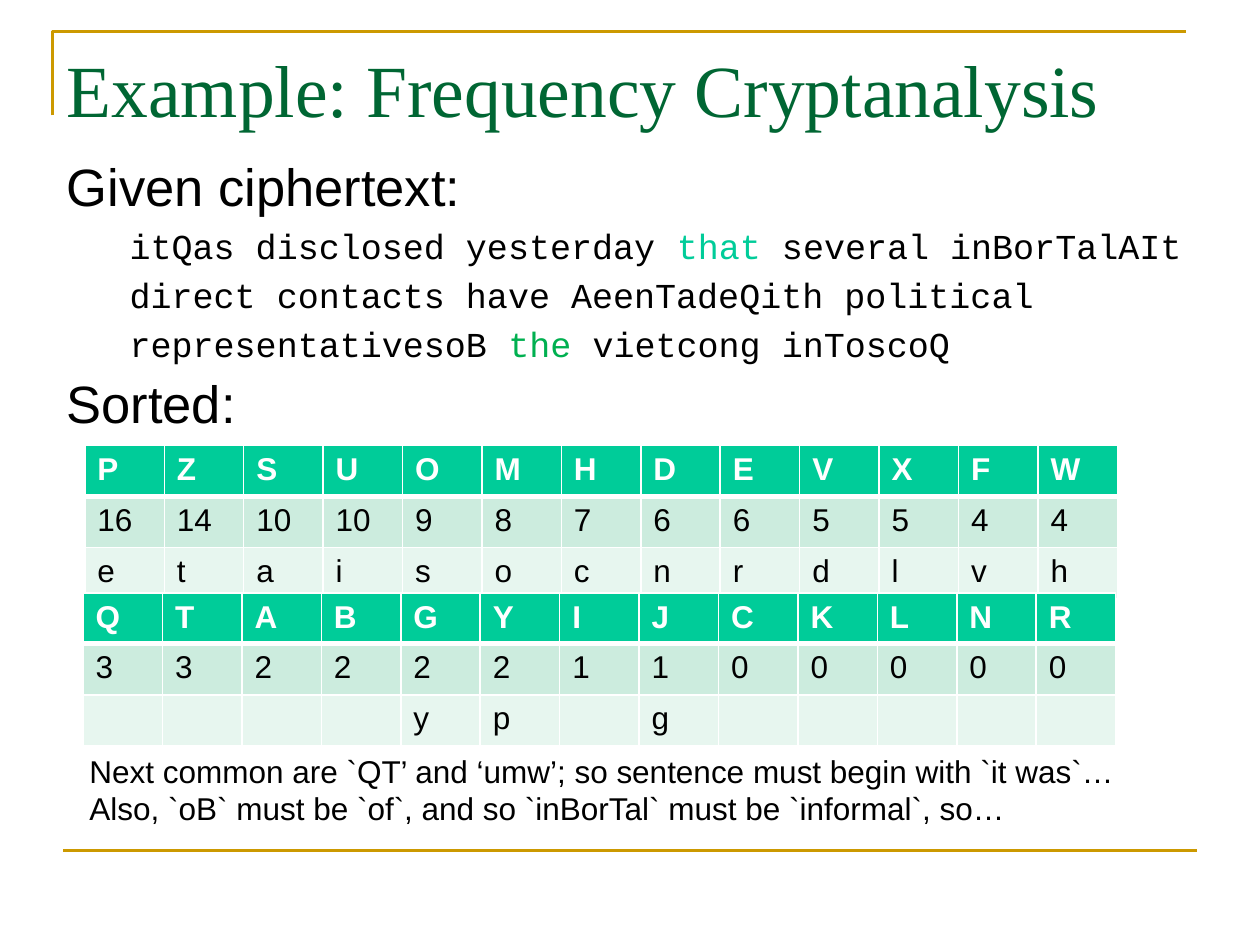
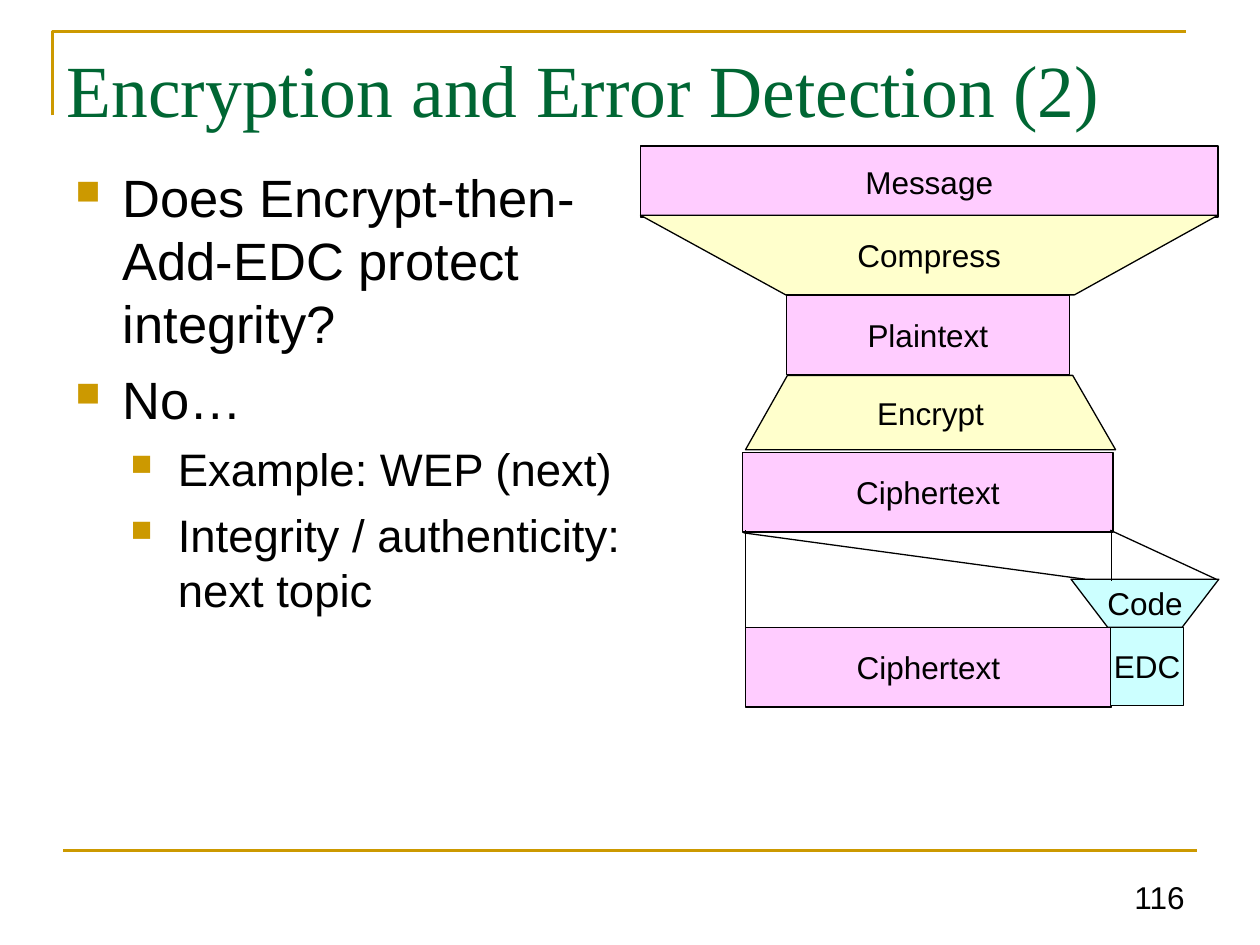
from lxml import etree
from pptx import Presentation
from pptx.dml.color import RGBColor
from pptx.enum import shapes as sh, text as tx
from pptx.oxml.ns import qn
from pptx.util import Pt

GOLD, GREEN, BLACK, WHITE = "CC9900", "006633", "000000", "FFFFFF"
TEAL, LEAF, MINT, PALE_MINT = "00CC99", "00B050", "CCECDE", "E7F6EF"
PINK, YELLOW, CYAN = "FFCCFF", "FFFFCC", "CCFFFF"


def rgb(value):
    """Turn a hex string into a colour."""
    return RGBColor.from_string(value)


def set_font(font, size, color=BLACK, name="Arial", bold=False):
    """Format one font."""
    font.size, font.name, font.bold = Pt(size), name, bold
    font.color.rgb = rgb(color)


def add_xml(parent, tag, **attributes):
    """Append a DrawingML element to its parent."""
    child = etree.SubElement(parent, qn(tag))
    for key, value in attributes.items():
        child.set(key, str(value))
    return child


def add_line(slide, start, end, color=BLACK, width=0.75):
    """Draw a straight line between two points."""
    ends = [Pt(value) for value in (*start, *end)]
    line = slide.shapes.add_connector(sh.MSO_CONNECTOR.STRAIGHT, *ends)
    line.line.color.rgb, line.line.width = rgb(color), Pt(width)
    add_xml(line._element.spPr, "a:effectLst")


def add_outline(slide, points, closed):
    """Draw a polygon or open line through the points."""
    (x, y), *rest = [(Pt(px), Pt(py)) for px, py in points]
    builder = slide.shapes.build_freeform(x, y, scale=1.0)
    builder.add_line_segments(rest, close=closed)
    return builder.convert_to_shape()


def style_shape(shape, fill, color, width):
    """Give a shape its fill and line, without a shadow."""
    shape.shadow.inherit = False
    if fill:
        shape.fill.solid()
        shape.fill.fore_color.rgb = rgb(fill)
    else:
        shape.fill.background()
    shape.line.color.rgb, shape.line.width = rgb(color), Pt(width)


def add_text_frame(slide, left, top, width, height, wrap=True):
    """Add a text box and return its frame."""
    frame = slide.shapes.add_textbox(Pt(left), Pt(top), Pt(width), Pt(height)).text_frame
    frame.word_wrap = wrap
    return frame


def next_paragraph(frame, index):
    """Return the first paragraph, or a new one after it."""
    return frame.add_paragraph() if index else frame.paragraphs[0]


def new_slide(deck, title, title_height):
    """Add a slide with the gold frame lines and a title."""
    slide = deck.slides.add_slide(deck.slide_layouts[5])
    corner = add_outline(slide, [(30, 66), (30, 18), (678, 18)], closed=False)
    style_shape(corner, None, GOLD, 1.5)
    add_line(slide, (36, 486), (684, 486), GOLD, 1.5)
    heading = slide.shapes.title
    heading.left, heading.top = Pt(31), Pt(21.6)
    heading.width, heading.height = Pt(653), Pt(title_height)
    frame = heading.text_frame
    frame.text = title
    frame.vertical_anchor = tx.MSO_ANCHOR.TOP
    frame.auto_size = tx.MSO_AUTO_SIZE.NONE
    paragraph = frame.paragraphs[0]
    paragraph.alignment = tx.PP_ALIGN.LEFT
    set_font(paragraph.font, 42, GREEN, "Times New Roman")
    return slide


def add_ciphertext(slide, left, top, width, height):
    """Write the ciphertext with its guessed words coloured."""
    lines = [
        (0, [("Given ciphertext:", BLACK)]),
        (1, [("itQas disclosed yesterday ", BLACK), ("that ", TEAL),
             ("several inBorTalAIt", BLACK)]),
        (1, [("direct contacts have AeenTadeQith political", BLACK)]),
        (1, [("representativesoB ", BLACK), ("the ", LEAF), ("vietcong inToscoQ", BLACK)]),
        (0, [("Sorted:", BLACK)]),
    ]
    styles = [(30, "Arial", 7.5, 0), (20, "Courier New", 6.5, 36)]
    frame = add_text_frame(slide, left, top, width, height)
    for index, (level, pieces) in enumerate(lines):
        size, name, before, indent = styles[level]
        paragraph = next_paragraph(frame, index)
        paragraph.level = level
        paragraph.line_spacing, paragraph.space_before = 0.9, Pt(before)
        paragraph._p.get_or_add_pPr().set("marL", str(Pt(indent)))
        set_font(paragraph.font, size, BLACK, name)
        for words, color in pieces:
            run = paragraph.add_run()
            run.text = words
            set_font(run.font, size, color, name)


def add_borders(cell, top, bottom):
    """Give a cell white borders."""
    properties = cell._tc.get_or_add_tcPr()
    for side, width in (("L", 1), ("R", 1), ("T", top), ("B", bottom)):
        border = add_xml(properties, f"a:ln{side}", w=Pt(width))
        add_xml(add_xml(border, "a:solidFill"), "a:srgbClr", val=WHITE)


def add_frequencies(slide, left, top, width, row_heights, rows):
    """Build a table of cipher letters, counts and guessed letters."""
    count = len(rows[0])
    table = slide.shapes.add_table(len(rows), count, Pt(left), Pt(top), Pt(width),
                                   Pt(sum(row_heights))).table
    for column in table.columns:
        column.width = Pt(width / count)
    styles = [(TEAL, WHITE, 1, 3), (MINT, BLACK, 3, 1), (PALE_MINT, BLACK, 1, 1)]
    for r, (values, height) in enumerate(zip(rows, row_heights)):
        table.rows[r].height = Pt(height)
        fill, color, above, below = styles[r]
        for c, value in enumerate(values):
            cell = table.cell(r, c)
            add_borders(cell, above, below)
            cell.fill.solid()
            cell.fill.fore_color.rgb = rgb(fill)
            cell.text = value.strip()
            set_font(cell.text_frame.paragraphs[0].font, 18, color, bold=r == 0)


def add_conclusion(slide, left, top, width, height):
    """Write the guesses that follow from the tables."""
    frame = add_text_frame(slide, left, top, width, height, wrap=False)
    for index, line in enumerate([
            "Next common are `QT’ and ‘umw’; so sentence must begin with `it was`…",
            "Also, `oB` must be `of`, and so `inBorTal` must be `informal`, so…"]):
        paragraph = next_paragraph(frame, index)
        paragraph.text = line
        set_font(paragraph.font, 18)


def add_bullets(slide, left, top, width, height, items):
    """Write a two-level list with gold square bullets."""
    styles = [(30, 7.5, 27), (26, 6.5, 58.5)]
    frame = add_text_frame(slide, left, top, width, height)
    for index, (level, words) in enumerate(items):
        size, before, indent = styles[level]
        paragraph = next_paragraph(frame, index)
        paragraph.text, paragraph.level = words, level
        paragraph.space_before = Pt(before)
        set_font(paragraph.font, size)
        properties = paragraph._p.get_or_add_pPr()
        properties.set("marL", str(Pt(indent)))
        properties.set("indent", str(-Pt(27)))
        marker = properties.makeelement(qn("a:buClr"))
        add_xml(marker, "a:srgbClr", val=GOLD)
        run_defaults = properties.find(qn("a:defRPr"))
        run_defaults.addprevious(marker)
        for tag, key, value in (("a:buSzPct", "val", "65000"), ("a:buChar", "char", "■")):
            run_defaults.addprevious(properties.makeelement(qn(tag), {key: value}))


def label_stage(shape, label, fill):
    """Style one stage of the diagram and centre its label."""
    style_shape(shape, fill, BLACK, 0.75)
    frame = shape.text_frame
    frame.text, frame.word_wrap = label, False
    frame.vertical_anchor = tx.MSO_ANCHOR.MIDDLE
    paragraph = frame.paragraphs[0]
    paragraph.alignment = tx.PP_ALIGN.CENTER
    set_font(paragraph.font, 18)


def add_pipeline(slide, left, top):
    """Draw the stages from message to ciphertext with EDC."""
    def data(label, x, y, width, height, fill=PINK):
        """Draw a data block."""
        block = slide.shapes.add_shape(sh.MSO_SHAPE.RECTANGLE, Pt(left + x), Pt(top + y),
                                       Pt(width), Pt(height))
        label_stage(block, label, fill)

    def operation(label, y, height, upper, lower, fill=YELLOW):
        """Draw a trapezoid between an upper and a lower edge."""
        corners = [(upper[0], y), (lower[0], y + height), (lower[1], y + height), (upper[1], y)]
        shape = add_outline(slide, [(left + px, top + py) for px, py in corners], closed=True)
        label_stage(shape, label, fill)

    data("Message", 0, 0, 330, 40.5)
    operation("Compress", 39.5, 45.5, (0, 330), (83, 248))
    data("Plaintext", 83.5, 85, 161.5, 45.5)
    operation("Encrypt", 131, 42.5, (84, 247), (60, 271.5))
    data("Ciphertext", 58.5, 175, 211.5, 45.5)
    operation("Code", 247.5, 27.5, (246, 330.5), (267, 309.5), CYAN)
    for x1, y1, x2, y2 in [(59, 221, 254, 247.5), (268.5, 219.5, 329, 247.5),
                           (269, 219.5, 269, 248.5), (60, 219.5, 60, 275)]:
        add_line(slide, (left + x1, top + y1), (left + x2, top + y2))
    data("Ciphertext", 60, 275, 209, 45.5)
    data("EDC", 268.5, 275, 42, 44.5, CYAN)


def add_page_number(slide, number):
    """Write the page number at the bottom right."""
    frame = add_text_frame(slide, 516, 492, 168, 35)
    frame.vertical_anchor = tx.MSO_ANCHOR.BOTTOM
    paragraph = frame.paragraphs[0]
    paragraph.text, paragraph.alignment = number, tx.PP_ALIGN.RIGHT
    set_font(paragraph.font, 18)


def main():
    """Build both slides and save the deck."""
    deck = Presentation()
    deck.slide_width, deck.slide_height = Pt(720), Pt(540)

    analysis = new_slide(deck, "Example: Frequency Cryptanalysis", 108)
    add_ciphertext(analysis, 31, 88.5, 678, 165.5)
    add_frequencies(analysis, 48.5, 254.5, 590, (29.2, 29.2, 29.2), [
        "PZSUOMHDEVXFW",
        ["16", "14", "10", "10", *"987665544"],
        "etaisocnrdlvh",
    ])
    add_frequencies(analysis, 47.5, 339, 590, (24, 29.2, 29.2), [
        "QTABGYIJCKLNR",
        "3322221100000",
        [*[""] * 4, "y", "p", "", "g", *[""] * 5],
    ])
    add_conclusion(analysis, 44, 426, 630, 51)

    detection = new_slide(deck, "Encryption and Error Detection (2)", 61)
    add_page_number(detection, "116")
    add_bullets(detection, 36, 90.7, 358, 392, [
        (0, "Does Encrypt-then-Add-EDC protect integrity?"),
        (0, "No…"),
        (1, "Example: WEP (next)"),
        (1, "Integrity / authenticity: next topic"),
    ])
    add_pipeline(detection, 366, 83.5)

    deck.save("out.pptx")


if __name__ == "__main__":
    main()
